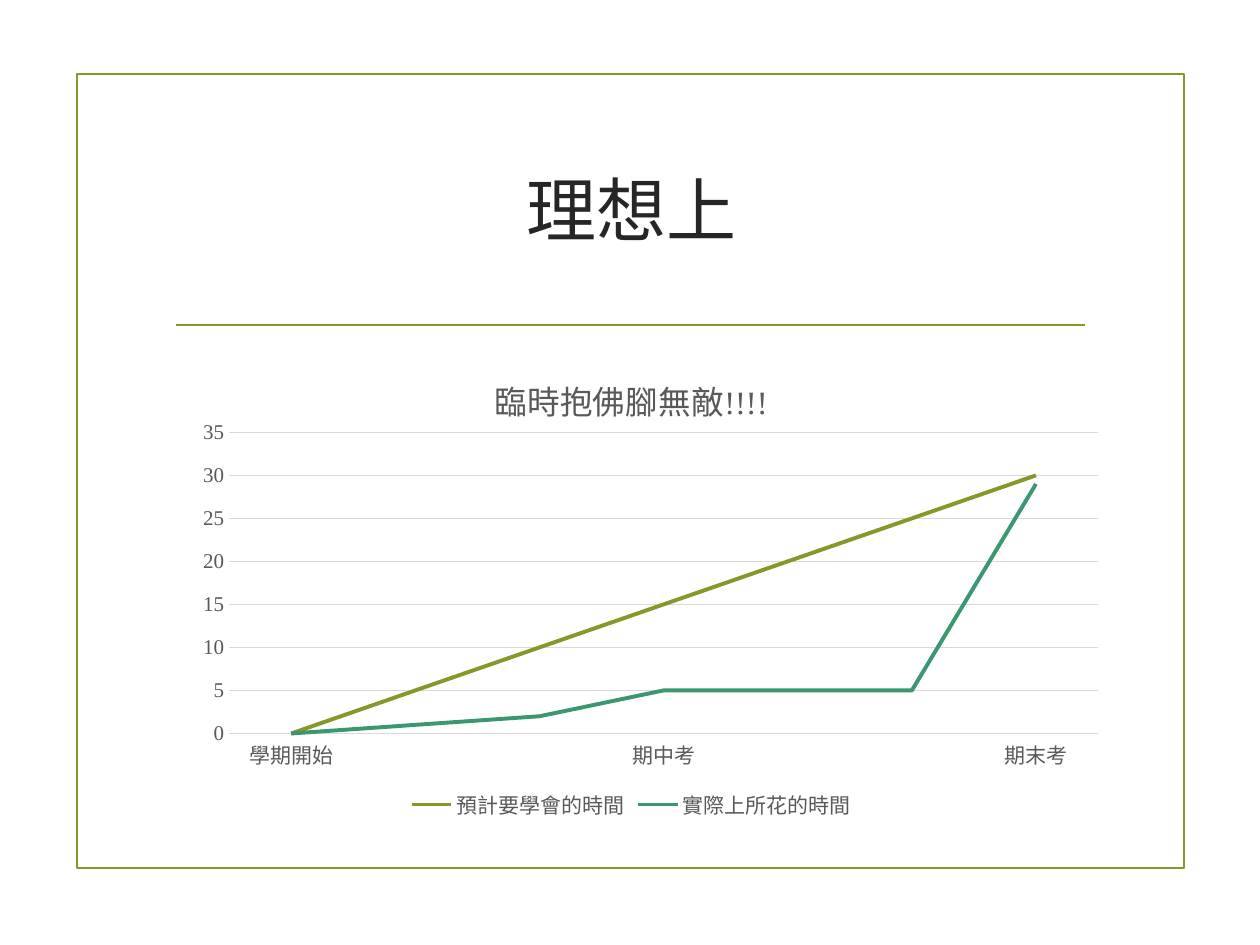
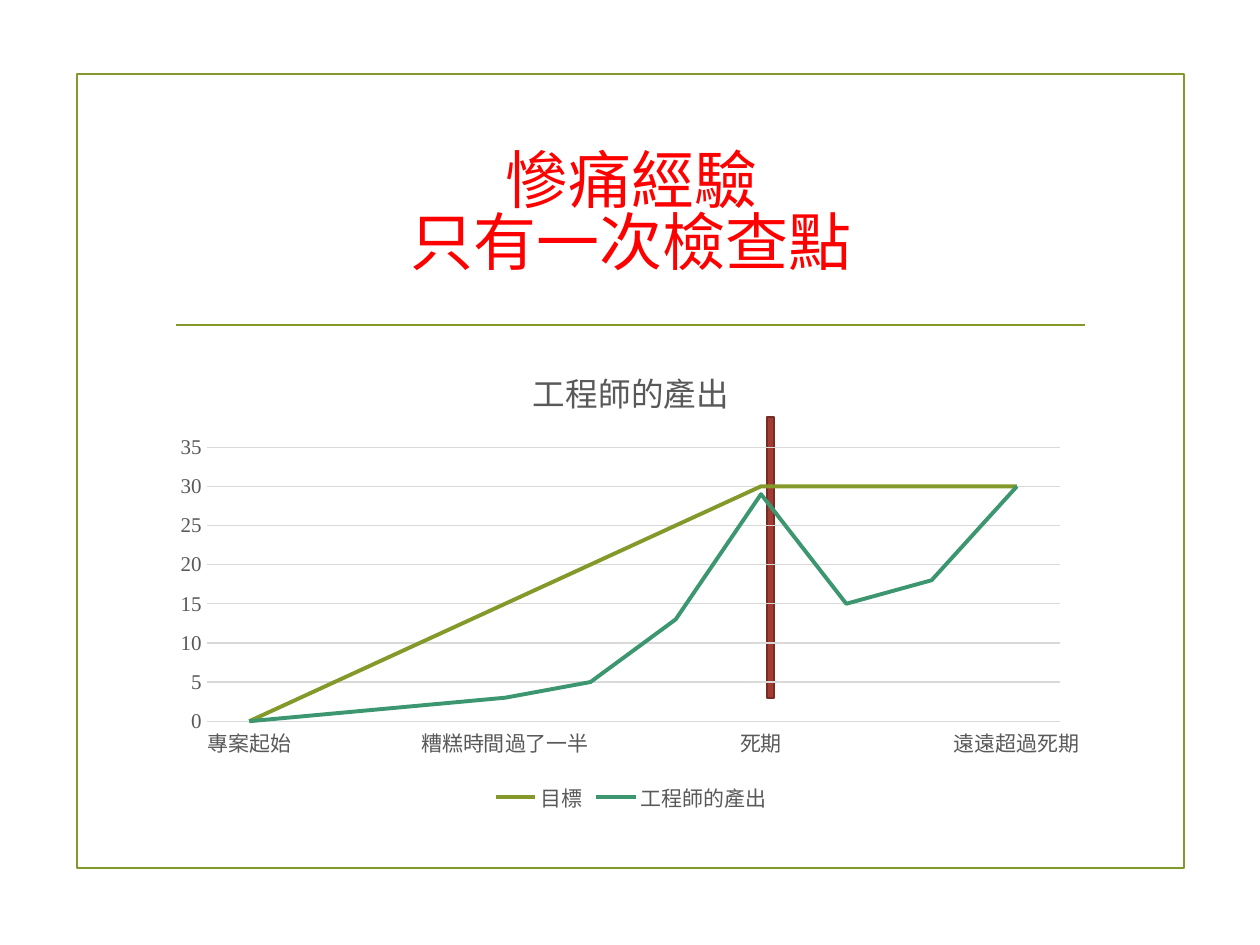
from dataclasses import dataclass

from lxml import etree
from pptx import Presentation
from pptx.chart.data import CategoryChartData
from pptx.dml.color import RGBColor
from pptx.enum.chart import XL_CHART_TYPE, XL_LEGEND_POSITION, XL_TICK_MARK
from pptx.enum.shapes import MSO_CONNECTOR, MSO_SHAPE
from pptx.enum.text import MSO_ANCHOR, PP_ALIGN
from pptx.oxml import parse_xml
from pptx.oxml.ns import nsdecls, qn
from pptx.util import Inches, Pt

LINE_CHART = XL_CHART_TYPE.LINE
LEGEND_BOTTOM = XL_LEGEND_POSITION.BOTTOM
NO_TICK = XL_TICK_MARK.NONE
RECTANGLE = MSO_SHAPE.RECTANGLE
STRAIGHT = MSO_CONNECTOR.STRAIGHT
MIDDLE = MSO_ANCHOR.MIDDLE
CENTER = PP_ALIGN.CENTER


@dataclass(frozen=True)
class Theme:
    olive: str = "83992A"
    green: str = "3C9770"
    dark: str = "262626"
    alert: str = "FF0000"
    label: str = "595959"
    grid: str = "D9D9D9"
    deadline: str = "A23C33"
    deadline_edge: str = "782C26"
    title_font: str = "Noto Sans CJK SC"
    chart_font: str = "Times New Roman"
    chart_title_size: float = 18.6
    label_size: float = 12
    rule_width: float = 1.25
    grid_width: float = 0.75
    series_width: float = 2.25


theme = Theme()


def set_line(line, color, width):
    line.color.rgb = RGBColor.from_string(color)
    line.width = Pt(width)


def set_font(font, name, size, color):
    font.name = name
    font.size = Pt(size)
    font.color.rgb = RGBColor.from_string(color)


# Content of the slides; plot areas are shares of the chart's size
slides = [
    dict(
        title="理想上", title_size=40, title_color=theme.dark,
        chart_title="臨時抱佛腳無敵!!!!", chart_top=2.78,
        plot=dict(x=0.071, y=0.173, w=0.927, h=0.634),
        labels=["學期開始", "", "", "期中考", "", "", "期末考"],
        series={
            "預計要學會的時間": [0, 5, 10, 15, 20, 25, 30],
            "實際上所花的時間": [0, 1, 2, 5, 5, 5, 29],
        },
        deadline=None,
    ),
    dict(
        title="慘痛經驗\v只有一次檢查點", title_size=36, title_color=theme.alert,
        chart_title="工程師的產出", chart_top=2.72,
        plot=dict(x=0.047, y=0.22, w=0.91, h=0.577),
        labels=["專案起始", "", "", "糟糕時間過了一半", "", "",
                "死期", "", "", "遠遠超過死期"],
        series={
            "目標": [0, 5, 10, 15, 20, 25, 30, 30, 30, 30],
            "工程師的產出": [0, 1, 2, 3, 5, 13, 29, 15, 18, 30],
        },
        deadline=(6.09, 3.31, 0.05, 2.23),
    ),
]

deck = Presentation()
deck.slide_width, deck.slide_height = Inches(10), Inches(7.5)
title_only = deck.slide_layouts[5]
column_left, column_width = Inches(1.29), Inches(7.44)

for content in slides:
    page = deck.slides.add_slide(title_only)

    # Frame and rule under the title
    frame = page.shapes.add_shape(
        RECTANGLE, Inches(0.61), Inches(0.59), Inches(8.79), Inches(6.3))
    frame.shadow.inherit = False
    frame.fill.background()
    set_line(frame.line, theme.olive, theme.rule_width)
    rule = page.shapes.add_connector(
        STRAIGHT, Inches(1.4), Inches(2.58), Inches(8.61), Inches(2.58))
    set_line(rule.line, theme.olive, theme.rule_width)
    etree.SubElement(rule._element.spPr, qn("a:effectLst"))

    # Title
    title = page.shapes.title
    title.left, title.top = column_left, Inches(1)
    title.width, title.height = column_width, Inches(1.43)
    title.text_frame.text = content["title"]
    title.text_frame.vertical_anchor = MIDDLE
    para = title.text_frame.paragraphs[0]
    para.alignment = CENTER
    para.line_spacing = 0.82
    set_font(para.font, theme.title_font, content["title_size"], content["title_color"])
    east_asian = etree.SubElement(para.font._element, qn("a:ea"))
    east_asian.set("typeface", theme.title_font)

    # Deadline bar behind the chart
    if content["deadline"]:
        bar = page.shapes.add_shape(RECTANGLE, *map(Inches, content["deadline"]))
        bar.shadow.inherit = False
        bar.fill.solid()
        bar.fill.fore_color.rgb = RGBColor.from_string(theme.deadline)
        set_line(bar.line, theme.deadline_edge, theme.rule_width)

    # Line chart
    data = CategoryChartData()
    data.categories = content["labels"]
    for name, values in content["series"].items():
        data.add_series(name, values)
    chart = page.shapes.add_chart(
        LINE_CHART, column_left, Inches(content["chart_top"]),
        column_width, Inches(3.77), data).chart
    set_font(chart.font, theme.chart_font, theme.label_size, theme.label)
    for series, color in zip(chart.plots[0].series, (theme.olive, theme.green)):
        series.smooth = False
        set_line(series.format.line, color, theme.series_width)

    # Chart title and legend
    chart.has_title = True
    chart.chart_title.include_in_layout = False
    heading = chart.chart_title.text_frame
    heading.text = content["chart_title"]
    heading_font = heading.paragraphs[0].font
    set_font(heading_font, theme.chart_font, theme.chart_title_size, theme.label)
    heading_font.bold = False
    chart.has_legend = True
    chart.legend.position = LEGEND_BOTTOM
    chart.legend.include_in_layout = False
    set_font(chart.legend.font, theme.chart_font, theme.label_size, theme.label)

    # Axes
    for axis in (chart.category_axis, chart.value_axis):
        axis.major_tick_mark = axis.minor_tick_mark = NO_TICK
        set_font(axis.tick_labels.font, theme.chart_font, theme.label_size, theme.label)
        axis._element.find(qn("c:txPr")).find(qn("a:bodyPr")).set("rot", "-60000000")
    set_line(chart.category_axis.format.line, theme.grid, theme.grid_width)
    chart.value_axis.format.line.fill.background()
    set_line(chart.value_axis.major_gridlines.format.line, theme.grid, theme.grid_width)
    chart.value_axis.minimum_scale, chart.value_axis.maximum_scale = 0, 35
    chart.value_axis.major_unit = 5

    # Plot area placement and see-through backgrounds
    plot_area = chart._chartSpace.chart.plotArea
    for old_layout in plot_area.findall(qn("c:layout")):
        plot_area.remove(old_layout)
    modes = '<c:layoutTarget val="inner"/><c:xMode val="edge"/><c:yMode val="edge"/>'
    shares = "".join(f'<c:{key} val="{share}"/>' for key, share in content["plot"].items())
    plot_area.insert(0, parse_xml(
        f'<c:layout {nsdecls("c")}><c:manualLayout>{modes}{shares}'
        "</c:manualLayout></c:layout>"))
    clear = (f'<c:spPr {nsdecls("c", "a")}><a:noFill/>'
             "<a:ln><a:noFill/></a:ln></c:spPr>")
    plot_area.append(parse_xml(clear))
    chart._chartSpace.find(qn("c:txPr")).addprevious(parse_xml(clear))

deck.save("out.pptx")
